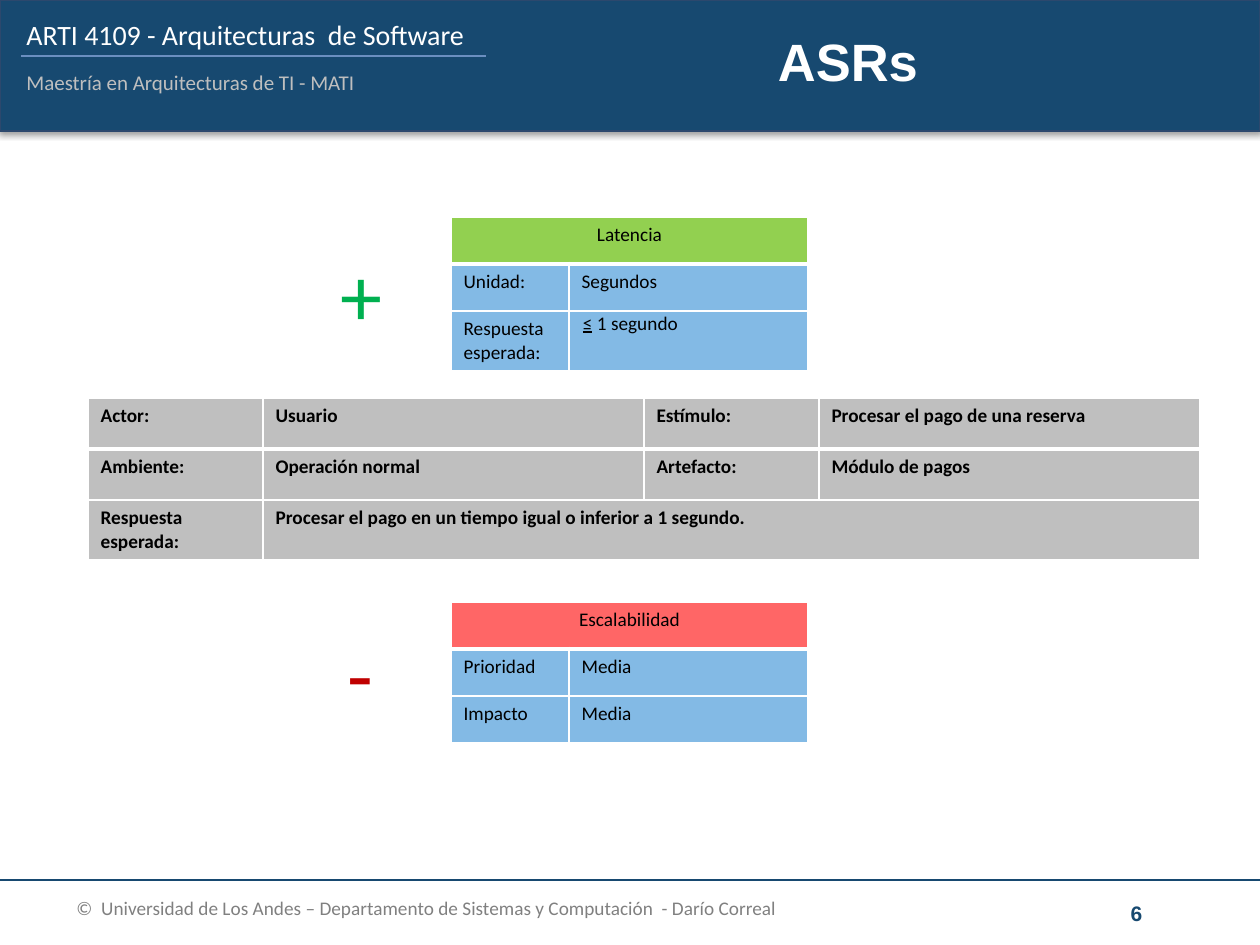
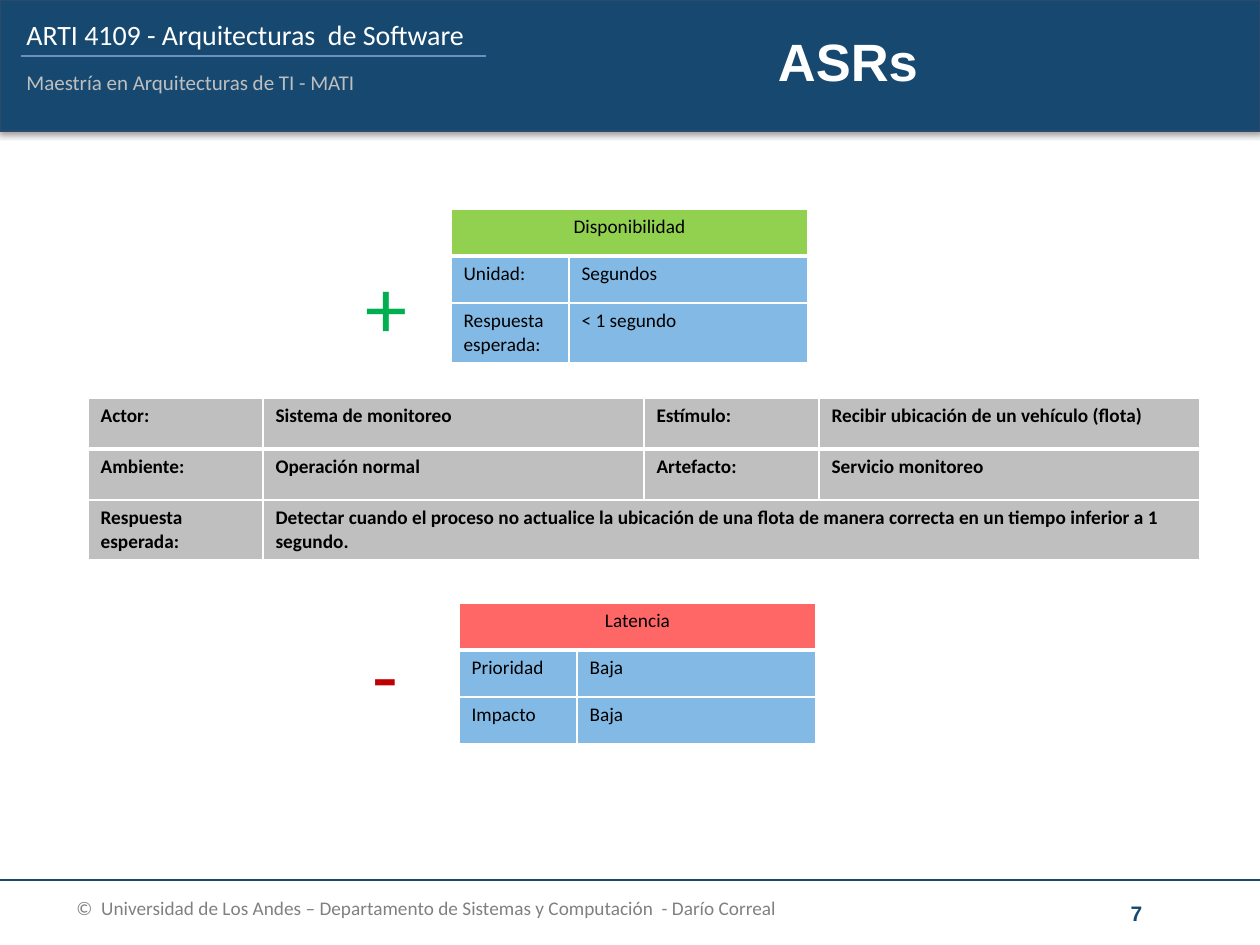
from dataclasses import dataclass

from lxml.etree import SubElement
from pptx import Presentation
from pptx.dml.color import RGBColor as Rgb
from pptx.enum.shapes import MSO_CONNECTOR as Conn, MSO_SHAPE as Kind
from pptx.enum.text import MSO_ANCHOR as Anchor, MSO_AUTO_SIZE as Fit, PP_ALIGN as Align
from pptx.oxml.ns import qn
from pptx.util import Emu, Pt

SCALE = 914400 / 126


@dataclass(frozen=True)
class Theme:
    # Colours
    navy: str = "174970"
    edge: str = "2C486D"
    rule: str = "6B8FC0"
    white: str = "FFFFFF"
    black: str = "000000"
    grey: str = "BFBFBF"
    dim: str = "808080"
    blue: str = "83BAE5"
    lime: str = "92D050"
    coral: str = "FF6666"
    green: str = "00B050"
    red: str = "C00000"
    # Fonts and type sizes
    head: str = "Arial"
    body: str = "Calibri"
    title: int = 30
    sign: int = 48
    course: int = 16
    label: int = 12
    text: int = 11


THEME = Theme()


def px(*nums):
    return [Emu(round(num * SCALE)) for num in nums]


# Text
def style(para, size, color, face=THEME.body, bold=False, align=Align.LEFT):
    para.alignment = align
    font = para.font
    font.name, font.size, font.bold = face, Pt(size), bold
    font.color.rgb = Rgb.from_string(color)


def label(slide, box, text, size, color, wrap=True, mid=False, **look):
    frame = slide.shapes.add_textbox(*px(*box)).text_frame
    frame.word_wrap = wrap
    frame.auto_size = Fit.NONE if wrap else Fit.SHAPE_TO_FIT_TEXT
    frame.vertical_anchor = Anchor.MIDDLE if mid else Anchor.TOP
    frame.text = text
    style(frame.paragraphs[0], size, color, **look)


# Lines and band
def rule(slide, left, right, y, color, width):
    line = slide.shapes.add_connector(Conn.STRAIGHT, *px(left, y, right, y))
    line.line.color.rgb = Rgb.from_string(color)
    line.line.width = Pt(width)
    SubElement(line.element.spPr, qn("a:effectLst"))


def band(slide):
    shape = slide.shapes.add_shape(Kind.RECTANGLE, *px(0, 0, 1260, 131))
    shape.fill.solid()
    shape.fill.fore_color.rgb = Rgb.from_string(THEME.navy)
    shape.line.color.rgb = Rgb.from_string(THEME.edge)
    shape.line.width = Pt(0.75)
    shape.shadow.inherit = False
    glow = shape.element.spPr.find(qn("a:effectLst"))
    shade = SubElement(glow, qn("a:outerShdw"), blurRad=str(Pt(3.1)),
                       dist=str(Pt(1.8)), dir="5400000", rotWithShape="0")
    tint = SubElement(shade, qn("a:srgbClr"), val=THEME.black)
    SubElement(tint, qn("a:alpha"), val="35000")


def base(deck, num):
    slide = deck.slides.add_slide(deck.slide_layouts[5])
    rule(slide, 0, 1260, 880, THEME.navy, 0.75)
    band(slide)
    label(slide, (14, 11, 583, 47), "ARTI 4109 - Arquitecturas  de Software",
          THEME.course, THEME.white)
    label(slide, (14, 63, 359, 38), "Maestría en Arquitecturas de TI - MATI",
          THEME.label, THEME.grey, wrap=False)
    rule(slide, 21, 486, 56, THEME.rule, 1)

    # The title stands in front of the band
    title = slide.shapes.title
    title.element.getparent().append(title.element)
    title.left, title.top, title.width, title.height = px(620, 26, 456, 69)
    title.text_frame.text = "ASRs"
    title.text_frame.vertical_anchor = Anchor.MIDDLE
    style(title.text_frame.paragraphs[0], THEME.title, THEME.white,
          THEME.head, True, Align.CENTER)

    label(slide, (1047, 888, 179, 50), str(num), THEME.label, THEME.navy,
          mid=True, face=THEME.head, bold=True, align=Align.CENTER)
    label(slide, (64, 890, 953, 50),
          "©  Universidad de Los Andes – Departamento de Sistemas y "
          "Computación  - Darío Correal", THEME.text, THEME.dim)
    return slide


# Tables
def edges(cell, row):
    props = cell._tc.get_or_add_tcPr()
    wide = {"lnT": 3 if row == 1 else 1, "lnB": 3 if row == 0 else 1}
    for side in ("lnL", "lnR", "lnT", "lnB"):
        line = SubElement(props, qn(f"a:{side}"), w=str(Pt(wide.get(side, 1))))
        fill = SubElement(line, qn("a:solidFill"))
        SubElement(fill, qn("a:srgbClr"), val=THEME.white)


def grid(slide, spot, cols, tall, rows, fills, bold=False):
    """Draw rows of text; the last cell of a short row spans the rest."""
    size = sum(cols), sum(tall)
    table = slide.shapes.add_table(len(rows), len(cols), *px(*spot, *size)).table
    table.first_row = table.horz_banding = False
    for col, width in zip(table.columns, px(*cols)):
        col.width = width
    for row, height in zip(table.rows, px(*tall)):
        row.height = height
    for r, (texts, color) in enumerate(zip(rows, fills)):
        for c in range(len(cols)):
            cell = table.cell(r, c)
            edges(cell, r)
            cell.fill.solid()
            cell.fill.fore_color.rgb = Rgb.from_string(color)
            if c < len(texts):
                cell.text = texts[c]
                style(cell.text_frame.paragraphs[0], THEME.text, THEME.black,
                      bold=bold,
                      align=Align.CENTER if len(texts) == 1 else Align.LEFT)
        if len(texts) < len(cols):
            table.cell(r, len(texts) - 1).merge(table.cell(r, len(cols) - 1))
    return table


def card(slide, spot, color, last, rows):
    return grid(slide, spot, (118, 239), (47, 47, last), rows,
                (color, THEME.blue, THEME.blue))


def gain(slide, y, name, goal):
    rows = [name], ["Unidad:", "Segundos"], ["Respuesta esperada:", goal]
    return card(slide, (451, y), THEME.lime, 60, rows)


def loss(slide, spot, name, level):
    rows = [name], ["Prioridad", level], ["Impacto", level]
    card(slide, spot, THEME.coral, 47, rows)


def scene(slide, actor, cause, part, reply):
    rows = (["Actor:", actor, "Estímulo:", cause],
            ["Ambiente:", "Operación normal", "Artefacto:", part],
            ["Respuesta esperada:", reply])
    grid(slide, (88, 398), (175, 381, 175, 381), (51, 51, 60), rows,
         [THEME.grey] * 3, bold=True)


def signs(slide, left, plus, minus):
    label(slide, (left, plus, 68, 115), "+", THEME.sign, THEME.green, wrap=False)
    label(slide, (left + 7, minus, 52, 115), "-", THEME.sign, THEME.red, wrap=False)


def limit(cell, mark, rest):
    """Underline the mark and set it close to the top of the cell."""
    cell.margin_left, cell.margin_top = px(14, 1)
    para = cell.text_frame.paragraphs[0]
    para.runs[0].text = mark
    para.runs[0].font.underline = True
    para.add_run().text = rest


def main():
    deck = Presentation()
    deck.slide_width, deck.slide_height = px(1260, 945)

    # Latency against scalability
    slide = base(deck, 6)
    scene(slide, "Usuario", "Procesar el pago de una reserva", "Módulo de pagos",
          "Procesar el pago en un tiempo igual o inferior a 1 segundo.")
    table = gain(slide, 217, "Latencia", "")
    cell = table.cell(2, 1)
    cell.text_frame.paragraphs[0].add_run()
    limit(cell, "≤", " 1 segundo")
    signs(slide, 328, 236, 615)
    loss(slide, (451, 602), "Escalabilidad", "Media")

    # Availability against latency
    slide = base(deck, 7)
    scene(slide, "Sistema de monitoreo",
          "Recibir ubicación de un vehículo (flota)", "Servicio monitoreo",
          "Detectar cuando el proceso no actualice la ubicación de una flota "
          "de manera correcta en un tiempo inferior a 1 segundo.")
    gain(slide, 209, "Disponibilidad", "< 1 segundo")
    signs(slide, 353, 248, 616)
    loss(slide, (459, 603), "Latencia", "Baja")

    deck.save("out.pptx")


if __name__ == "__main__":
    main()
